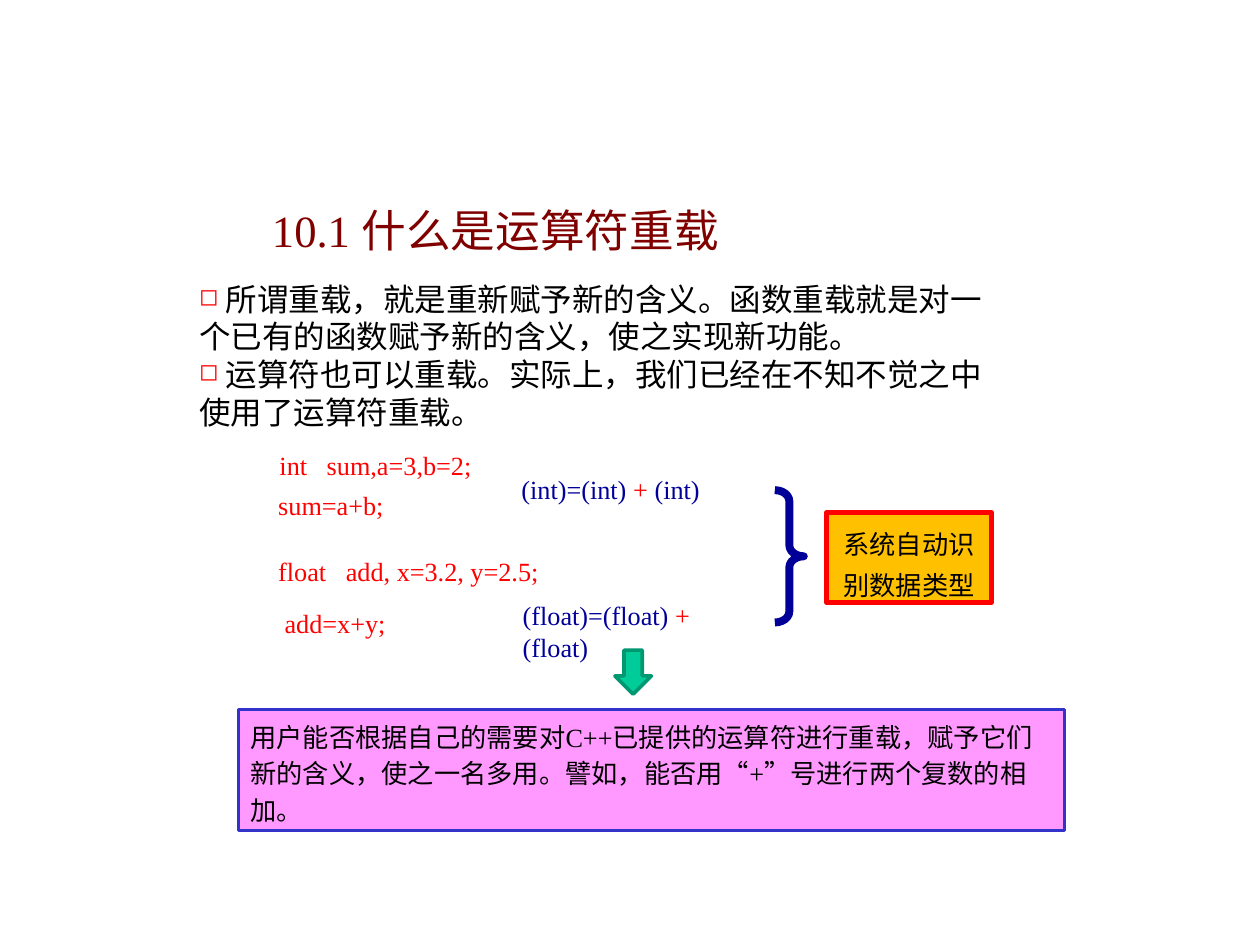
from dataclasses import dataclass

from lxml import etree
from pptx import Presentation
from pptx import util as u
from pptx.dml.color import RGBColor
from pptx.enum import lang, shapes, text
from pptx.oxml import ns


@dataclass(frozen=True)
class Theme:
    latin: str = "Times New Roman"
    chinese: str = "Noto Sans CJK SC"
    title_size: float = 25.5
    body_size: float = 18
    note_size: float = 15
    maroon: str = "800000"
    black: str = "000000"
    red: str = "FF0000"
    navy: str = "000099"
    amber: str = "FFC000"
    pink: str = "FF99FF"
    blue: str = "3333CC"
    green: str = "00CC99"
    dark_green: str = "009771"


class SlideBuilder:
    def __init__(self, slide, theme):
        self.slide = slide
        self.theme = theme

    def fill_text(self, shape, paragraphs, size, frame_format=None, paragraph_format=None,
                  bullet=None, latin=None):
        """Fill a shape with paragraphs, each a list of (words, colour) runs."""
        frame = shape.text_frame
        frame_values = {"word_wrap": True, "vertical_anchor": text.MSO_ANCHOR.TOP}
        for name, value in {**frame_values, **(frame_format or {})}.items():
            setattr(frame, name, value)
        paragraph_values = {"alignment": text.PP_ALIGN.LEFT, **(paragraph_format or {})}
        for index, runs in enumerate(paragraphs):
            paragraph = frame.add_paragraph() if index else frame.paragraphs[0]
            for name, value in paragraph_values.items():
                setattr(paragraph, name, value)
            if bullet:
                self.add_bullet(paragraph, bullet)
            for words, colour in runs:
                run = paragraph.add_run()
                run.text = words
                run.font.size = u.Pt(size)
                run.font.name = latin or self.theme.latin
                run.font.color.rgb = RGBColor.from_string(colour)
                run.font.language_id = lang.MSO_LANGUAGE_ID.SIMPLIFIED_CHINESE
                east_asian = etree.SubElement(run._r.get_or_add_rPr(), ns.qn("a:ea"))
                east_asian.set("typeface", self.theme.chinese)

    def add_bullet(self, paragraph, character):
        properties = paragraph._p.get_or_add_pPr()
        properties.set("marL", str(u.Inches(0.33)))
        properties.set("indent", "0")
        colour = etree.SubElement(properties, ns.qn("a:buClr"))
        etree.SubElement(colour, ns.qn("a:srgbClr")).set("val", self.theme.red)
        etree.SubElement(properties, ns.qn("a:buSzPct")).set("val", "75000")
        etree.SubElement(properties, ns.qn("a:buChar")).set("char", character)

    def text_box(self, place, paragraphs, size, **formats):
        shape = self.slide.shapes.add_textbox(*map(u.Inches, place))
        self.fill_text(shape, paragraphs, size, **formats)

    def shape(self, kind, place, line, width, fill=None):
        shape = self.slide.shapes.add_shape(kind, *map(u.Inches, place))
        shape.shadow.inherit = False
        if fill:
            shape.fill.solid()
            shape.fill.fore_color.rgb = RGBColor.from_string(fill)
        else:
            shape.fill.background()
        shape.line.color.rgb = RGBColor.from_string(line)
        shape.line.width = u.Pt(width)
        return shape


def main():
    presentation = Presentation()
    presentation.slide_width = u.Inches(10)
    presentation.slide_height = u.Inches(7.5)
    theme = Theme()
    builder = SlideBuilder(presentation.slides.add_slide(presentation.slide_layouts[6]), theme)
    kinds = shapes.MSO_SHAPE

    # Title
    builder.text_box((2.06, 1.44, 6.69, 0.56), [[("10.1 什么是运算符重载", theme.maroon)]],
                     theme.title_size,
                     frame_format={"vertical_anchor": text.MSO_ANCHOR.MIDDLE},
                     paragraph_format={"line_spacing": 1.5})

    # Explanation
    points = [
        " 所谓重载，就是重新赋予新的含义。函数重载就是对一个已有的函数赋予新的含义，使之实现新功能。",
        " 运算符也可以重载。实际上，我们已经在不知不觉之中使用了运算符重载。",
    ]
    builder.text_box((1.25, 2.17, 6.88, 3.77), [[(point, theme.black)] for point in points],
                     theme.body_size, frame_format={"margin_left": 0}, bullet="◻")

    # Code lines and the types they use
    code_lines = [
        (2.12, 3.52, 1.86, "int   sum,a=3,b=2;"),
        (2.11, 3.83, 1.69, "sum=a+b;"),
        (2.11, 4.36, 3.56, "float   add, x=3.2, y=2.5;"),
        (2.16, 4.77, 1.69, "add=x+y;"),
    ]
    for left, top, width, code in code_lines:
        builder.text_box((left, top, width, 0.35), [[(code, theme.red)]], theme.note_size)
    type_notes = [(4.04, 3.71, 1.88, "int"), (4.05, 4.71, 2.09, "float")]
    for left, top, width, kind in type_notes:
        runs = [(f"({kind})=({kind}) ", theme.navy), ("+ ", theme.red), (f"({kind})", theme.navy)]
        builder.text_box((left, top, width, 0.35), [runs], theme.note_size)

    # Brace and its label
    brace = builder.shape(kinds.RIGHT_BRACE, (6.15, 3.89, 0.23, 1.05), theme.navy, 4.5)
    brace.adjustments[0] = 0.38
    label = builder.shape(kinds.RECTANGLE, (6.56, 4.07, 1.31, 0.71), theme.red, 3, theme.amber)
    builder.fill_text(label, [[("系统自动识别数据类型", theme.black)]], theme.note_size,
                      paragraph_format={"alignment": text.PP_ALIGN.CENTER, "line_spacing": 1.3},
                      latin=theme.chinese)

    # Question and the arrow leading to it
    question = ("用户能否根据自己的需要对C++已提供的运算符进行重载，赋予它们新的含义，"
                "使之一名多用。譬如，能否用“+”号进行两个复数的相加。")
    panel = builder.shape(kinds.RECTANGLE, (1.89, 5.63, 6.56, 0.96), theme.blue, 1.75, theme.pink)
    builder.fill_text(panel, [[(question, theme.black)]], theme.note_size,
                      paragraph_format={"line_spacing": u.Pt(21)})
    builder.shape(kinds.DOWN_ARROW, (4.88, 5.16, 0.29, 0.35), theme.dark_green, 2, theme.green)

    presentation.save("out.pptx")


if __name__ == "__main__":
    main()
